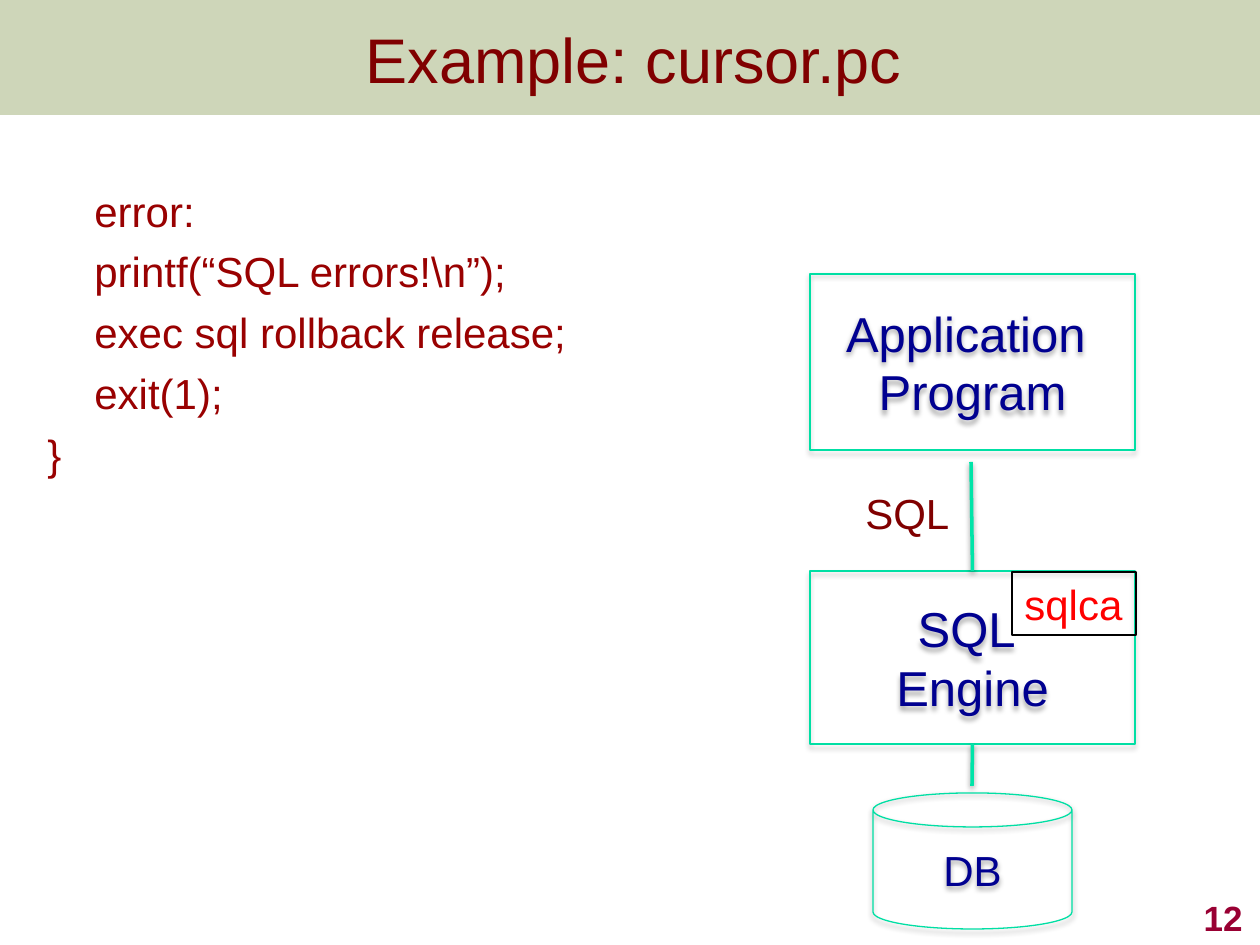
"""Build the slide on embedded SQL cursors: error code and architecture diagram."""
from lxml.etree import SubElement
from pptx import Presentation
from pptx.dml.color import RGBColor
from pptx.enum.shapes import MSO_CONNECTOR, MSO_SHAPE
from pptx.enum.text import MSO_ANCHOR, MSO_AUTO_SIZE, PP_ALIGN
from pptx.oxml.ns import qn
from pptx.util import Pt

SCALE = 914400 / 126
COLORS = {
    "band": "798E3E", "title": "800000", "code": "990101", "box_line": "00DFA4",
    "link": "00E4A8", "box_text": "000090", "sqlca": "FF0000",
    "sqlca_line": "000000", "number": "990033", "shadow": "000000",
}
TITLE = "Example: cursor.pc"
CODE = [
    ("error:", 47),
    ("printf(“SQL errors!\\n”);", 47),
    ("exec sql rollback release;", 47),
    ("exit(1);", 47),
    ("}", 0),
]
BOXES = {
    "application": (MSO_SHAPE.RECTANGLE, (810, 274, 325, 176), ["Application ", "Program"], 28),
    "engine": (MSO_SHAPE.RECTANGLE, (810, 571, 325, 173), ["SQL ", "Engine"], 28),
    "database": (MSO_SHAPE.CAN, (873, 793, 199, 136), ["DB"], 24),
}
LABELS = [
    ("SQL", (853, 481, 111, 64), {"size": 24, "color": "title"}, {"word_wrap": False}),
    ("sqlca", (1012, 572, 124, 63), {"size": 24, "color": "sqlca"}, {"word_wrap": False}),
    ("12", (993, 882, 262, 63), {"size": 20, "color": "number", "bold": True,
                                 "align": PP_ALIGN.RIGHT},
     {"word_wrap": True, "vertical_anchor": MSO_ANCHOR.BOTTOM}),
]


def px(*values):
    return [round(value * SCALE) for value in values]


def rgb(name):
    return RGBColor.from_string(COLORS[name])


def set_attributes(target, values):
    for name, value in values.items():
        setattr(target, name, value)


def write(frame, lines, size, color, align=PP_ALIGN.LEFT, bold=False):
    for index, line in enumerate(lines):
        paragraph = frame.paragraphs[0] if index == 0 else frame.add_paragraph()
        paragraph.text = line
        paragraph.alignment = align
        set_attributes(paragraph.font, {"name": "Arial", "size": Pt(size), "bold": bold})
        paragraph.font.color.rgb = rgb(color)


def set_line(shape, color, width):
    shape.line.color.rgb = rgb(color)
    shape.line.width = Pt(width)


def add_shadow(shape, opacity, distance):
    properties = shape._element.spPr
    effects = properties.find(qn("a:effectLst"))
    if effects is None:
        effects = SubElement(properties, qn("a:effectLst"))
    shadow = SubElement(effects, qn("a:outerShdw"), blurRad=str(Pt(3.1)),
                        dist=str(Pt(distance)), dir="5400000", rotWithShape="0")
    color = SubElement(shadow, qn("a:srgbClr"), val=COLORS["shadow"])
    SubElement(color, qn("a:alpha"), val=str(opacity * 1000))


def add_link(slide, start, end):
    link = slide.shapes.add_connector(MSO_CONNECTOR.STRAIGHT, *px(*start, *end))
    set_line(link, "link", 2)
    add_shadow(link, 38, 1.6)
    return link


def add_band(slide):
    band = slide.shapes.add_shape(MSO_SHAPE.RECTANGLE, *px(0, 0, 1260, 115))
    band.shadow.inherit = False
    band.fill.solid()
    band.fill.fore_color.rgb = rgb("band")
    SubElement(band._element.spPr.find(".//" + qn("a:srgbClr")), qn("a:alpha"), val="36000")
    band.line.fill.background()
    slide.shapes._spTree.insert(2, band._element)


def add_title(slide):
    title = slide.shapes.title
    set_attributes(title, dict(zip(("left", "top", "width", "height"), px(32, 0, 1203, 116))))
    set_attributes(title.text_frame, {"auto_size": MSO_AUTO_SIZE.NONE,
                                      "vertical_anchor": MSO_ANCHOR.MIDDLE})
    write(title.text_frame, [TITLE], 36, "title", PP_ALIGN.CENTER)


def add_code(slide):
    frame = slide.shapes.add_textbox(*px(35, 175, 1143, 662)).text_frame
    set_attributes(frame, {"word_wrap": True, "margin_right": 0, "margin_top": px(10)[0]})
    write(frame, [line for line, _ in CODE], 24, "code")
    for index, (paragraph, (_, indent)) in enumerate(zip(frame.paragraphs, CODE)):
        paragraph.space_before = Pt(6 if index else 0)
        paragraph._p.get_or_add_pPr().set("marL", str(px(indent)[0]))


def add_box(slide, kind, place, lines, size):
    box = slide.shapes.add_shape(kind, *px(*place))
    box.shadow.inherit = False
    box.fill.background()
    set_line(box, "box_line", 0.75)
    add_shadow(box, 35, 1.8)
    box.text_frame.vertical_anchor = MSO_ANCHOR.MIDDLE
    write(box.text_frame, lines, size, "box_text", PP_ALIGN.CENTER)
    return box


def main():
    presentation = Presentation()
    presentation.slide_width, presentation.slide_height = px(1260, 945)
    slide = presentation.slides.add_slide(presentation.slide_layouts[5])
    add_band(slide)
    add_title(slide)
    add_code(slide)
    boxes = {name: add_box(slide, *values) for name, values in BOXES.items()}
    add_link(slide, (972, 744), (972, 786)).begin_connect(boxes["engine"], 2)
    for text, place, style, layout in LABELS:
        label = slide.shapes.add_textbox(*px(*place))
        set_attributes(label.text_frame, layout)
        write(label.text_frame, [text], **style)
        if text == "sqlca":
            set_line(label, "sqlca_line", 0.75)
    add_link(slide, (971, 462), (972, 571)).end_connect(boxes["engine"], 0)
    presentation.save("out.pptx")


if __name__ == "__main__":
    main()
